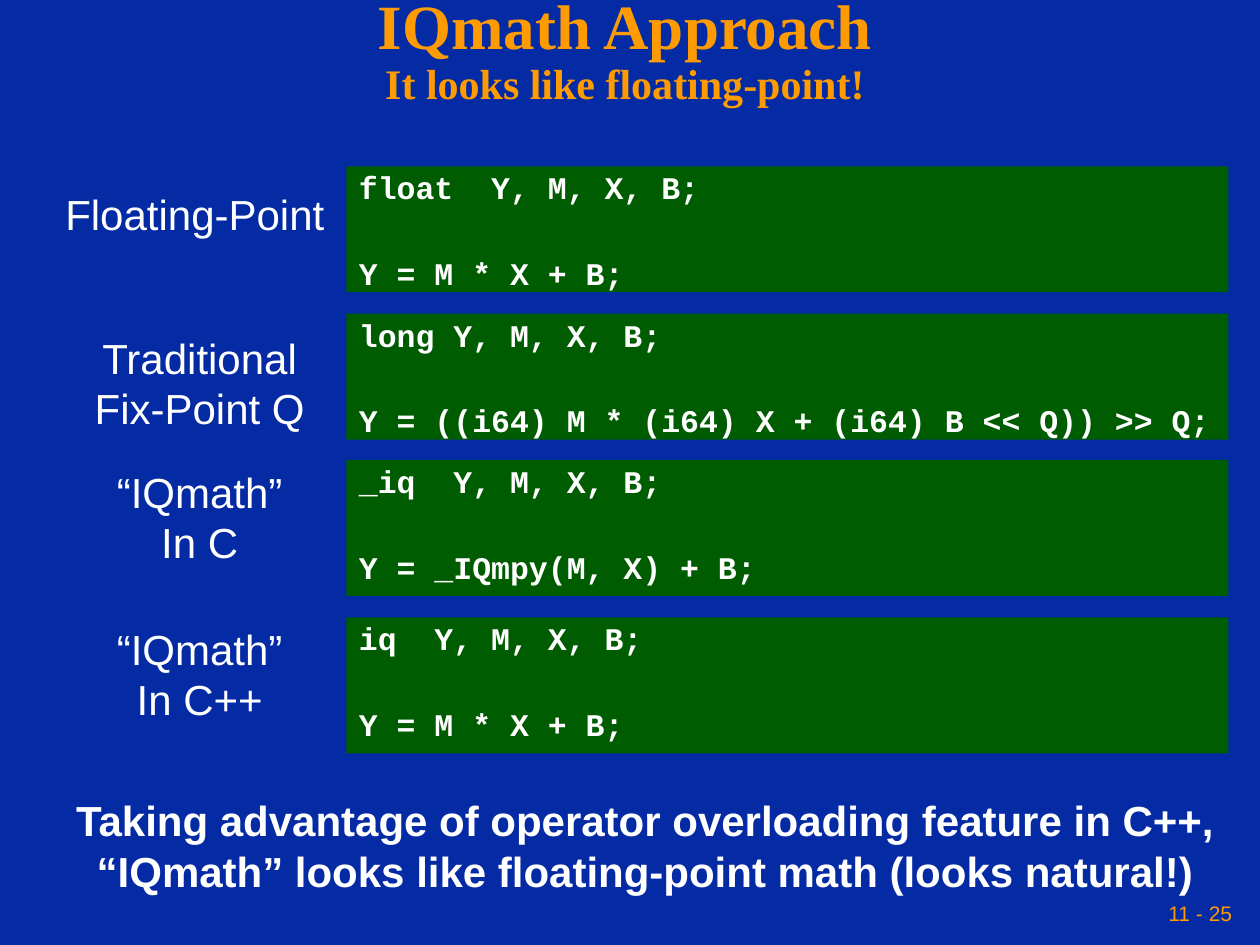
from pptx import Presentation
from pptx import util as u
from pptx.dml.color import RGBColor
from pptx.enum import shapes, text

BLUE = RGBColor(0x04, 0x2A, 0xA4)
GREEN = RGBColor(0x00, 0x5C, 0x00)
ORANGE = RGBColor(0xFE, 0x9B, 0x03)
WHITE = RGBColor(0xFF, 0xFF, 0xFF)
LEFT, MID, RIGHT = text.PP_ALIGN.LEFT, text.PP_ALIGN.CENTER, text.PP_ALIGN.RIGHT
TOP, CENTER = text.MSO_ANCHOR.TOP, text.MSO_ANCHOR.MIDDLE


class Deck:
    label = dict(name="Arial", size=u.Pt(24), bold=False)
    strong = dict(label, bold=True)
    code = dict(name="Courier New", size=u.Pt(18), bold=True)
    title = dict(name="Times New Roman", size=u.Pt(36), bold=True)
    sub = dict(title, size=u.Pt(24))
    foot = dict(label, size=u.Pt(12))

    def __init__(self, slide):
        self.slide = slide
        fill = slide.background.fill
        fill.solid()
        fill.fore_color.rgb = BLUE

    def put(self, shape, lines, color=WHITE, frame=None, para=None):
        """Fill a shape with (text, font style) lines."""
        body = shape.text_frame
        base = dict(word_wrap=True, vertical_anchor=TOP,
                    margin_left=u.Inches(0.1), margin_right=u.Inches(0.1),
                    margin_top=u.Inches(0.05), margin_bottom=u.Inches(0.05))
        for key, val in (base | (frame or {})).items():
            setattr(body, key, val)
        for i, (line, style) in enumerate(lines):
            p = body.paragraphs[0] if i == 0 else body.add_paragraph()
            p.text = line
            for key, val in (para or {}).items():
                if i or key != "space_before":
                    setattr(p, key, val)
            for key, val in style.items():
                setattr(p.font, key, val)
            p.font.color.rgb = color

    def text(self, box, lines, **form):
        shape = self.slide.shapes.add_textbox(*map(u.Inches, box))
        self.put(shape, lines, **form)

    def panel(self, box, lines):
        """Code panel; the space before stands for the empty code line."""
        shape = self.slide.shapes.add_shape(
            shapes.MSO_SHAPE.RECTANGLE, *map(u.Inches, box))
        shape.shadow.inherit = False
        shape.fill.solid()
        shape.fill.fore_color.rgb = GREEN
        shape.line.fill.background()
        para = dict(alignment=LEFT, line_spacing=0.9, space_before=u.Pt(29.6))
        self.put(shape, [(s, self.code) for s in lines], para=para)


ROWS = [
    (1.32, 1, 1.45, LEFT, ["Floating-Point"],
     ["float  Y, M, X, B;", "Y = M * X + B;"]),
    (2.49, 1, 2.59, MID, ["Traditional", "Fix-Point Q"],
     ["long Y, M, X, B;", "Y = ((i64) M * (i64) X + (i64) B << Q)) >> Q;"]),
    (3.65, 1.08, 3.65, MID, ["“IQmath”", "In C"],
     ["_iq  Y, M, X, B;", "Y = _IQmpy(M, X) + B;"]),
    (4.9, 1.08, 4.9, MID, ["“IQmath”", "In C++"],
     ["iq  Y, M, X, B;", "Y = M * X + B;"]),
]


def main():
    prs = Presentation()
    prs.slide_width, prs.slide_height = u.Inches(10), u.Inches(7.5)
    deck = Deck(prs.slides.add_slide(prs.slide_layouts[6]))

    tight = dict(margin_left=u.Inches(0.05), margin_right=u.Inches(0.05),
                 vertical_anchor=CENTER)
    deck.text((0, 0, 9.92, 0.83),
              [("IQmath Approach", deck.title),
               ("It looks like floating-point!", deck.sub)],
              color=ORANGE, frame=tight,
              para=dict(alignment=MID, line_spacing=0.9))

    for top, high, y, align, names, code in ROWS:
        deck.panel((2.75, top, 7, high), code)
        deck.text((0.42, y, 2.33, 0.1 + 0.4 * len(names)),
                  [(s, deck.label) for s in names],
                  para=dict(alignment=align))

    deck.text((0.49, 6.26, 9.26, 0.9),
              [("Taking advantage of operator overloading feature in C++,",
                deck.strong),
               ("“IQmath” looks like floating-point math (looks natural!)",
                deck.strong)],
              frame=dict(word_wrap=False), para=dict(alignment=MID))
    deck.text((6.83, 7.08, 3, 0.33), [("11 - 25", deck.foot)],
              color=ORANGE, frame=tight, para=dict(alignment=RIGHT))
    prs.save("out.pptx")


if __name__ == "__main__":
    main()
